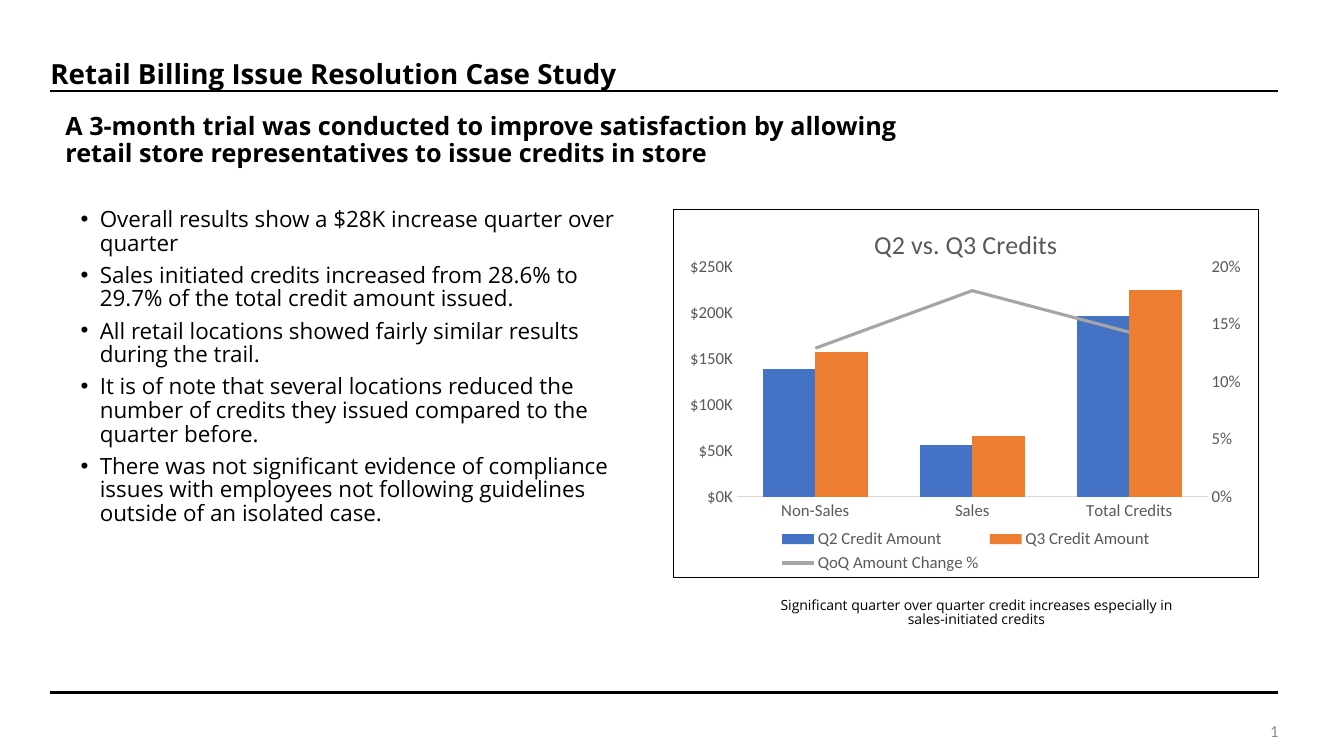
import copy

import lxml.etree
import pptx
import pptx.chart.data
import pptx.dml.color
import pptx.enum.chart
import pptx.enum.shapes
import pptx.enum.text
import pptx.oxml
import pptx.oxml.ns
import pptx.util

Inches = pptx.util.Inches
Pt = pptx.util.Pt
qn = pptx.oxml.ns.qn
Align = pptx.enum.text.PP_ALIGN
Anchor = pptx.enum.text.MSO_ANCHOR
ChartEnum = pptx.enum.chart

BLACK = pptx.dml.color.RGBColor(0x00, 0x00, 0x00)
GREY = pptx.dml.color.RGBColor(0x59, 0x59, 0x59)
PAGE_GREY = pptx.dml.color.RGBColor(0x8C, 0x8C, 0x8C)
AXIS_GREY = pptx.dml.color.RGBColor(0xD9, 0xD9, 0xD9)
BLUE = pptx.dml.color.RGBColor(0x44, 0x72, 0xC4)
ORANGE = pptx.dml.color.RGBColor(0xED, 0x7D, 0x31)
LINE_GREY = pptx.dml.color.RGBColor(0xA5, 0xA5, 0xA5)


def set_values(element, **values):
    for tag, value in values.items():
        next(element.iter(qn("c:" + tag))).set("val", str(value))


def remove_children(element, tag):
    for child in element.findall(qn(tag)):
        element.remove(child)


class SlideBuilder:
    text_font = "Open Sans"
    chart_font = "Calibri"

    def __init__(self, presentation):
        self.slide = presentation.slides.add_slide(presentation.slide_layouts[6])

    def style_font(self, font, name, size, color, bold=False):
        font.name = name
        font.size = Pt(size)
        font.bold = bold
        font.color.rgb = color

    def text(self, box, lines, size, color=BLACK, bold=False, font=text_font,
             align=Align.LEFT, anchor=Anchor.TOP, insets=(0, 0, 0, 0),
             spacing=0.9, bullet=False):
        shape = self.slide.shapes.add_textbox(*map(Inches, box))
        frame = shape.text_frame
        frame.word_wrap = True
        frame.vertical_anchor = anchor
        (frame.margin_left, frame.margin_top,
         frame.margin_right, frame.margin_bottom) = map(Inches, insets)
        for index, line in enumerate(lines):
            paragraph = frame.paragraphs[0] if index == 0 else frame.add_paragraph()
            paragraph.alignment = align
            paragraph.line_spacing = spacing
            run = paragraph.add_run()
            run.text = line
            self.style_font(run.font, font, size, color, bold)
            if bullet:
                paragraph.space_before = Pt(6 if index else 0)
                properties = paragraph._p.get_or_add_pPr()
                properties.set("marL", str(Inches(0.44)))
                properties.set("indent", str(Inches(-0.19)))
                lxml.etree.SubElement(properties, qn("a:buFont")).set("typeface", "Arial")
                lxml.etree.SubElement(properties, qn("a:buChar")).set("char", "•")

    def rule(self, left, right, top):
        connector = self.slide.shapes.add_connector(
            pptx.enum.shapes.MSO_CONNECTOR.STRAIGHT,
            Inches(left), Inches(top), Inches(right), Inches(top))
        connector.line.color.rgb = BLACK
        connector.line.width = Pt(1.5)
        lxml.etree.SubElement(connector._element.spPr, qn("a:effectLst"))

    def combined_chart(self, box, title, categories, columns, line):
        data = pptx.chart.data.CategoryChartData()
        data.categories = categories
        for name, values, color in columns:
            data.add_series(name, values, '"$"#,##0\\K')
        data.add_series(line[0], line[1], "0%")
        chart = self.slide.shapes.add_chart(
            ChartEnum.XL_CHART_TYPE.COLUMN_CLUSTERED, *map(Inches, box), data).chart
        self.style_font(chart.font, self.chart_font, 10, BLACK)
        chart.has_title = True
        run = chart.chart_title.text_frame.paragraphs[0].add_run()
        run.text = title
        self.style_font(run.font, self.chart_font, 18.6, GREY)
        chart.chart_title.include_in_layout = False
        chart.has_legend = True
        chart.legend.position = ChartEnum.XL_LEGEND_POSITION.BOTTOM
        chart.legend.include_in_layout = False
        self.style_font(chart.legend.font, self.chart_font, 12, GREY)

        for axis in (chart.category_axis, chart.value_axis):
            axis.has_major_gridlines = False
            axis.major_tick_mark = ChartEnum.XL_TICK_MARK.NONE
            axis.minor_tick_mark = ChartEnum.XL_TICK_MARK.NONE
            self.style_font(axis.tick_labels.font, self.chart_font, 12, GREY)
        chart.category_axis.format.line.color.rgb = AXIS_GREY
        chart.category_axis.format.line.width = Pt(0.75)
        value_axis = chart.value_axis
        value_axis.format.line.fill.background()
        value_axis.minimum_scale = 0
        value_axis.maximum_scale = 250
        value_axis.major_unit = 50
        value_axis.tick_labels.number_format = '"$"#,##0\\K'
        value_axis.tick_labels.number_format_is_linked = False

        plot = chart.plots[0]
        plot.gap_width = 100
        plot.overlap = 0
        plot.vary_by_categories = False
        for series, (name, values, color) in zip(plot.series, columns):
            series.format.fill.solid()
            series.format.fill.fore_color.rgb = color
        self.add_right_axis(chart)
        series = chart.plots[1].series[0]
        series.format.line.color.rgb = line[2]
        series.format.line.width = Pt(2.25)
        series.marker.style = ChartEnum.XL_MARKER_STYLE.NONE
        series.smooth = False
        self.frame_chart(chart, (0.109, 0.156, 0.804, 0.626))

    def add_right_axis(self, chart):
        category = chart.category_axis._element
        value = chart.value_axis._element
        right_category = copy.deepcopy(category)
        right_value = copy.deepcopy(value)
        set_values(right_category, axId=101, crossAx=102, delete=1)
        set_values(right_value, axId=102, crossAx=101, axPos="r", crosses="max",
                   max=0.2, majorUnit=0.05)
        right_value.find(qn("c:numFmt")).set("formatCode", "0%")
        value.addnext(right_value)
        right_value.addnext(right_category)

        bar_chart = chart._chartSpace.find(".//" + qn("c:barChart"))
        line_series = bar_chart.findall(qn("c:ser"))[-1]
        remove_children(line_series, "c:invertIfNegative")
        line_chart = pptx.oxml.parse_xml(
            '<c:lineChart xmlns:c="http://schemas.openxmlformats.org/drawingml/2006/chart">'
            '<c:grouping val="standard"/><c:varyColors val="0"/><c:marker val="1"/>'
            '<c:axId val="101"/><c:axId val="102"/></c:lineChart>')
        line_chart.insert(2, line_series)
        bar_chart.addnext(line_chart)

    def frame_chart(self, chart, plot_box):
        chart_space = chart._chartSpace
        border = pptx.oxml.parse_xml(
            '<c:spPr xmlns:c="http://schemas.openxmlformats.org/drawingml/2006/chart" '
            'xmlns:a="http://schemas.openxmlformats.org/drawingml/2006/main">'
            f'<a:noFill/><a:ln w="{Pt(0.75)}"><a:solidFill><a:srgbClr val="{BLACK}"/>'
            '</a:solidFill></a:ln></c:spPr>')
        chart_space.find(qn("c:txPr")).addprevious(border)
        plot_area = chart_space.find(".//" + qn("c:plotArea"))
        remove_children(plot_area, "c:layout")
        layout = lxml.etree.Element(qn("c:layout"))
        plot_area.insert(0, layout)
        manual = lxml.etree.SubElement(layout, qn("c:manualLayout"))
        settings = [("layoutTarget", "inner"), ("xMode", "edge"), ("yMode", "edge")]
        settings += zip("xywh", plot_box)
        for tag, setting in settings:
            lxml.etree.SubElement(manual, qn("c:" + tag)).set("val", str(setting))


presentation = pptx.Presentation()
presentation.slide_width = Inches(13.33)
presentation.slide_height = Inches(7.5)
builder = SlideBuilder(presentation)

builder.text((0.5, 0.65, 6.11, 0.5), ["Retail Billing Issue Resolution Case Study"],
             19.8, bold=True, spacing=0.7)
builder.text((7.57, 5.94, 4.43, 0.4),
             ["Significant quarter over quarter credit increases especially in "
              "sales-initiated credits"],
             10, align=Align.CENTER, insets=(0, 0, 0.2, 0), spacing=0.85)
builder.text((0.55, 1.68, 5.82, 4.15), [
    "Overall results show a $28K increase quarter over quarter",
    "Sales initiated credits increased from 28.6% to 29.7% of the total credit amount issued.",
    "All retail locations showed fairly similar results during the trail.",
    "It is of note that several locations reduced the number of credits they issued "
    "compared to the quarter before.",
    "There was not significant evidence of compliance issues with employees not following "
    "guidelines outside of an isolated case.",
], 16, insets=(0, 0.39, 0, 0), spacing=0.88, bullet=True)
builder.combined_chart(
    (6.67, 2.07, 5.82, 3.66), "Q2 vs. Q3 Credits",
    ["Non-Sales", "Sales", "Total Credits"],
    [("Q2 Credit Amount", (139, 56, 196), BLUE),
     ("Q3 Credit Amount", (157, 66, 224), ORANGE)],
    ("QoQ Amount Change %", (0.129, 0.179, 0.143), LINE_GREY))
builder.text((9.78, 7.05, 3, 0.4), ["1"], 12, PAGE_GREY, font=builder.chart_font,
             align=Align.RIGHT, anchor=Anchor.MIDDLE, insets=(0.1, 0.05, 0.1, 0.05),
             spacing=1.0)
for rule_top in (0.9, 6.87):
    builder.rule(0.5, 12.68, rule_top)
builder.text((0.55, 1.08, 9.08, 1.01),
             ["A 3-month trial was conducted to improve satisfaction by allowing "
              "retail store representatives to issue credits in store"],
             18, bold=True, insets=(0.1, 0.05, 0.1, 0.05))

presentation.save("out.pptx")
